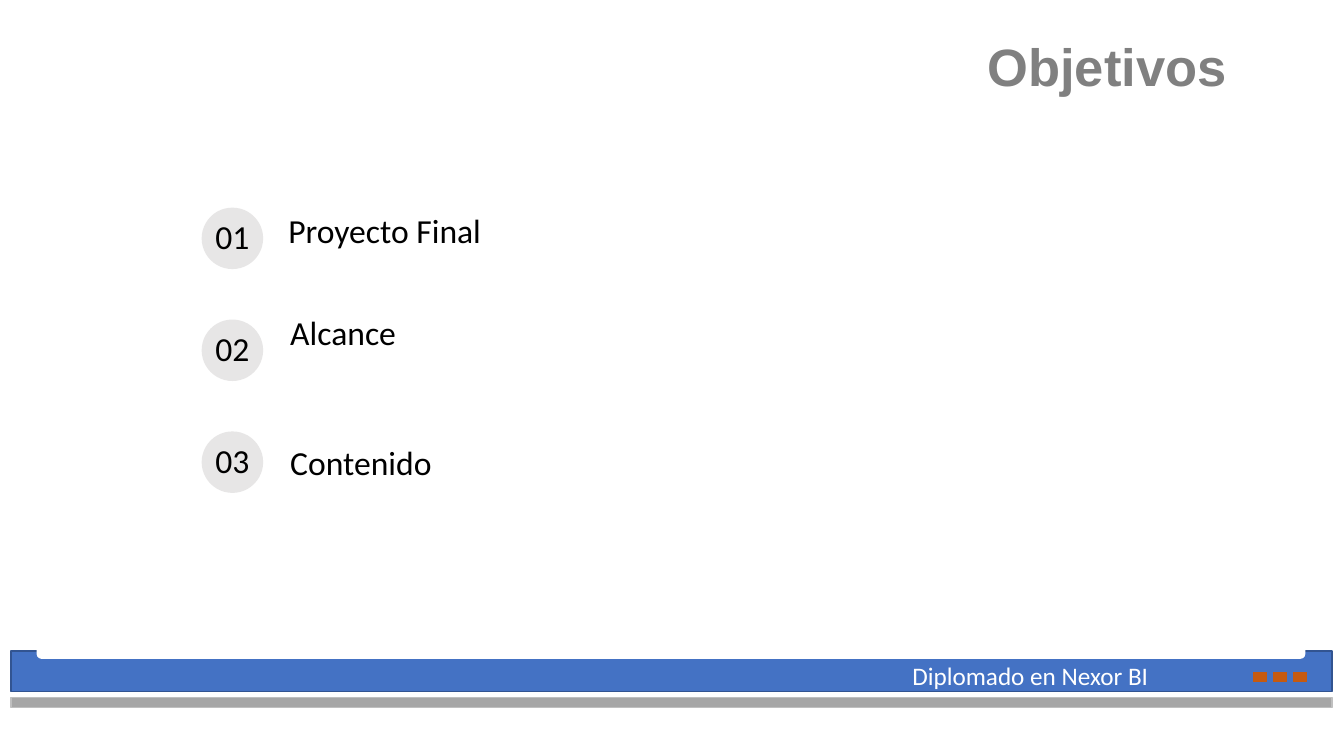
from dataclasses import dataclass

from pptx import Presentation
from pptx.dml.color import RGBColor
from pptx.enum.shapes import MSO_SHAPE
from pptx.enum.text import MSO_ANCHOR, MSO_AUTO_SIZE, PP_ALIGN
from pptx.shapes.autoshape import Shape
from pptx.slide import Slide
from pptx.util import Inches, Pt

BLACK = RGBColor(0x00, 0x00, 0x00)
WHITE = RGBColor(0xFF, 0xFF, 0xFF)
TITLE_GRAY = RGBColor(0x80, 0x80, 0x80)
CIRCLE_GRAY = RGBColor(0xE7, 0xE6, 0xE6)
BAND_BLUE = RGBColor(0x44, 0x72, 0xC4)
BAND_EDGE = RGBColor(0x32, 0x54, 0x91)
STRIPE_GRAY = RGBColor(0xA6, 0xA6, 0xA6)
STRIPE_EDGE = RGBColor(0xBF, 0xBF, 0xBF)
ORANGE = RGBColor(0xC5, 0x5A, 0x11)

CIRCLE_LEFT, CIRCLE_TOP, CIRCLE_SIZE, CIRCLE_STEP = 2, 2.06, 0.61, 1.11
SQUARE_LEFT, SQUARE_STEP, SQUARE_COUNT = 12.43, 0.2, 3


@dataclass(frozen=True)
class Box:
    left: float
    top: float
    width: float
    height: float


@dataclass(frozen=True)
class Objective:
    text: str
    box: Box


@dataclass(frozen=True)
class Bar:
    kind: MSO_SHAPE
    box: Box
    fill: RGBColor
    edge: RGBColor


OBJECTIVES = [
    Objective("Proyecto Final", Box(2.76, 2.13, 6.68, 0.45)),
    Objective("Alcance", Box(2.78, 3.14, 4.11, 0.79)),
    Objective("Contenido", Box(2.78, 4.43, 3.58, 0.61)),
]

FOOTER_BARS = [
    Bar(MSO_SHAPE.RECTANGLE, Box(0.11, 6.46, 13.1, 0.4), BAND_BLUE, BAND_EDGE),
    Bar(MSO_SHAPE.ROUNDED_RECTANGLE, Box(0.37, 6.27, 12.57, 0.26), WHITE, WHITE),
    Bar(MSO_SHAPE.RECTANGLE, Box(0.11, 6.92, 13.1, 0.1), STRIPE_GRAY, STRIPE_EDGE),
] + [
    Bar(MSO_SHAPE.RECTANGLE, Box(SQUARE_LEFT + index * SQUARE_STEP, 6.67, 0.13, 0.09), ORANGE, ORANGE)
    for index in range(SQUARE_COUNT)
]


def inches(box: Box) -> list[int]:
    return [Inches(length) for length in (box.left, box.top, box.width, box.height)]


def place(shape: Shape, box: Box) -> None:
    shape.left, shape.top, shape.width, shape.height = inches(box)


def write(shape: Shape, text: str, size: float, color: RGBColor, font: str = "Calibri",
          bold: bool = False, align: PP_ALIGN = PP_ALIGN.LEFT,
          anchor: MSO_ANCHOR = MSO_ANCHOR.TOP, line_spacing: float = 0.9) -> None:
    frame = shape.text_frame
    frame.text = text
    frame.word_wrap = True
    frame.auto_size = MSO_AUTO_SIZE.NONE
    frame.vertical_anchor = anchor
    paragraph = frame.paragraphs[0]
    paragraph.alignment = align
    paragraph.line_spacing = line_spacing
    paragraph.space_before = Pt(0)
    run_font = paragraph.runs[0].font
    run_font.name, run_font.size, run_font.bold = font, Pt(size), bold
    run_font.color.rgb = color


def set_insets(shape: Shape, left: float, top: float, right: float, bottom: float) -> None:
    frame = shape.text_frame
    frame.margin_left, frame.margin_top = Inches(left), Inches(top)
    frame.margin_right, frame.margin_bottom = Inches(right), Inches(bottom)


def add_filled(slide: Slide, kind: MSO_SHAPE, box: Box, fill: RGBColor) -> Shape:
    shape = slide.shapes.add_shape(kind, *inches(box))
    shape.shadow.inherit = False
    shape.fill.solid()
    shape.fill.fore_color.rgb = fill
    shape.line.fill.background()
    return shape


def add_title(slide: Slide) -> None:
    title = slide.shapes.title
    place(title, Box(1.41, 0.4, 11, 0.6))
    write(title, "Objetivos", 37.5, TITLE_GRAY, "Arial", True,
          PP_ALIGN.RIGHT, MSO_ANCHOR.BOTTOM, 0.7)
    set_insets(title, 0.1, 0.05, 0.24, 0.05)


def add_number(slide: Slide, index: int) -> None:
    box = Box(CIRCLE_LEFT, CIRCLE_TOP + index * CIRCLE_STEP, CIRCLE_SIZE, CIRCLE_SIZE)
    circle = add_filled(slide, MSO_SHAPE.OVAL, box, CIRCLE_GRAY)
    write(circle, f"{index + 1:02}", 24, BLACK, align=PP_ALIGN.CENTER, anchor=MSO_ANCHOR.MIDDLE)
    set_insets(circle, 0, 0, 0, 0)


def add_objectives(slide: Slide) -> None:
    """The first objective fills the subtitle placeholder, the rest text boxes."""
    for index, objective in enumerate(OBJECTIVES):
        add_number(slide, index)
        if index == 0:
            label = slide.placeholders[1]
            place(label, objective.box)
        else:
            label = slide.shapes.add_textbox(*inches(objective.box))
        write(label, objective.text, 24, BLACK)
        set_insets(label, 0.1, 0, 0.1, 0.1)
        label.text_frame.paragraphs[0].space_after = Pt(12)


def add_footer(slide: Slide) -> None:
    for bar in FOOTER_BARS:
        shape = add_filled(slide, bar.kind, bar.box, bar.fill)
        shape.line.color.rgb = bar.edge
        shape.line.width = Pt(1)
    course = slide.shapes.add_textbox(*inches(Box(8.95, 6.5, 3.45, 0.4)))
    write(course, "Diplomado en Nexor BI", 18, WHITE, line_spacing=1.0)


def main() -> None:
    presentation = Presentation()
    presentation.slide_width, presentation.slide_height = Inches(13.33), Inches(7.5)
    slide = presentation.slides.add_slide(presentation.slide_layouts[0])
    add_title(slide)
    add_objectives(slide)
    add_footer(slide)
    presentation.save("out.pptx")


if __name__ == "__main__":
    main()
